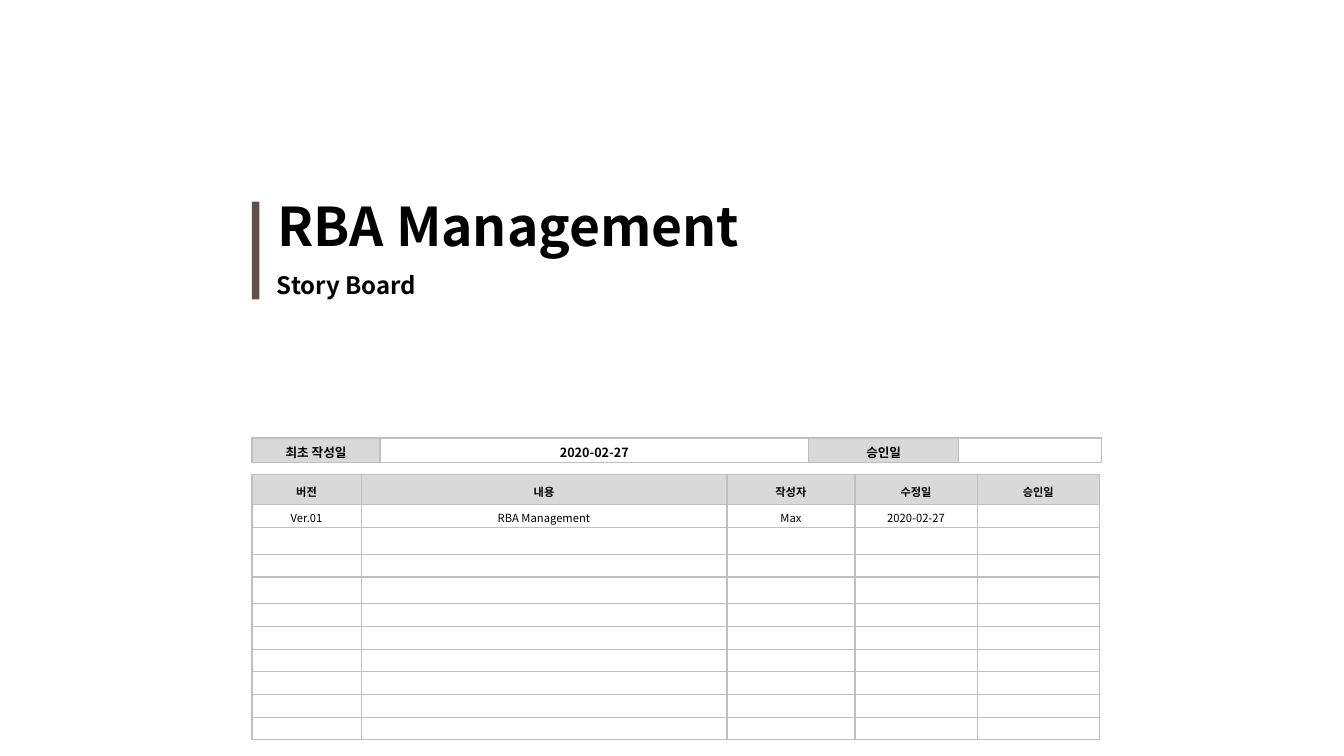
from pptx import Presentation, util as u
from pptx.dml.color import RGBColor
from pptx.enum import shapes, text
from pptx.oxml.ns import qn
from lxml import etree

BLACK = RGBColor(0x00, 0x00, 0x00)
WHITE = RGBColor(0xFF, 0xFF, 0xFF)
BROWN = RGBColor(0x60, 0x51, 0x4B)
HEADER_GRAY = RGBColor(0xD9, 0xD9, 0xD9)
BORDER_GRAY = RGBColor(0xBF, 0xBF, 0xBF)


class CoverSlide:
    """Draws the cover on a grid of 32 columns by 18 rows."""

    font_name = "Noto Sans CJK KR"
    columns, rows = 32, 18

    def __init__(self, presentation):
        self.column = presentation.slide_width / self.columns
        self.row = presentation.slide_height / self.rows
        self.slide = presentation.slides.add_slide(presentation.slide_layouts[5])

    def box(self, left, top, width, height):
        return (round(left * self.column), round(top * self.row),
                round(width * self.column), round(height * self.row))

    def add_words(self, paragraph, words, size, bold):
        run = paragraph.add_run()
        run.text = words
        run.font.name = self.font_name
        run.font.size = u.Pt(size)
        run.font.bold = bold
        run.font.color.rgb = BLACK
        properties = run._r.get_or_add_rPr()
        etree.SubElement(properties, qn("a:ea"), typeface=self.font_name)

    def heading(self, shape, words, size):
        frame = shape.text_frame
        frame.word_wrap = True
        frame.auto_size = text.MSO_AUTO_SIZE.NONE
        frame.vertical_anchor = text.MSO_ANCHOR.MIDDLE
        frame.margin_top = frame.margin_bottom = 0
        paragraph = frame.paragraphs[0]
        paragraph.alignment = text.PP_ALIGN.LEFT
        self.add_words(paragraph, words, size, True)

    def title(self, words, size, *place):
        shape = self.slide.shapes.title
        shape.left, shape.top, shape.width, shape.height = self.box(*place)
        self.heading(shape, words, size)

    def subtitle(self, words, size, *place):
        self.heading(self.slide.shapes.add_textbox(*self.box(*place)), words, size)

    def bar(self, color, *place):
        shape = self.slide.shapes.add_shape(shapes.MSO_SHAPE.RECTANGLE, *self.box(*place))
        shape.shadow.inherit = False
        shape.fill.solid()
        shape.fill.fore_color.rgb = color
        shape.line.fill.background()

    def borders(self, cell):
        properties = cell._tc.get_or_add_tcPr()
        for index, side in enumerate(("a:lnL", "a:lnR", "a:lnT", "a:lnB")):
            line = etree.Element(qn(side), w=str(u.Pt(1)))
            fill = etree.SubElement(line, qn("a:solidFill"))
            etree.SubElement(fill, qn("a:srgbClr"), val=str(BORDER_GRAY))
            properties.insert(index, line)

    def cell(self, cell, words, size, bold, color):
        cell.fill.solid()
        cell.fill.fore_color.rgb = color
        self.borders(cell)
        cell.vertical_anchor = text.MSO_ANCHOR.MIDDLE
        cell.margin_top, cell.margin_bottom = u.Inches(0.03), 0
        paragraph = cell.text_frame.paragraphs[0]
        paragraph.alignment = text.PP_ALIGN.CENTER
        if words:
            self.add_words(paragraph, words, size, bold)
        else:
            etree.SubElement(paragraph._p, qn("a:endParaRPr"), sz=str(size * 100))

    def table(self, left, top, widths, heights, lines, size, is_header):
        place = self.box(left, top, sum(widths), sum(heights))
        table = self.slide.shapes.add_table(len(heights), len(widths), *place).table
        table.first_row = table.horz_banding = False
        for column, width in zip(table.columns, widths):
            column.width = round(width * self.column)
        for r, height in enumerate(heights):
            table.rows[r].height = round(height * self.row)
            words = lines[r] if r < len(lines) else [""] * len(widths)
            for c, label in enumerate(words):
                color = HEADER_GRAY if is_header(r, c) else WHITE
                self.cell(table.cell(r, c), label, size, r == 0, color)


def main():
    presentation = Presentation()
    presentation.slide_width = u.Inches(13.33)
    presentation.slide_height = u.Inches(7.5)
    cover = CoverSlide(presentation)
    cover.subtitle("Story Board", 17.1, 6.36, 6.31, 19.46, 0.94)
    cover.bar(BROWN, 6, 4.8, 0.18, 2.33)
    cover.title("RBA Management", 38.1, 6.36, 4.46, 19.46, 1.78)
    history = [
        ["버전", "내용", "작성자", "수정일", "승인일"],
        ["Ver.01", "RBA Management", "Max", "2020-02-27", ""],
    ]
    heights = [0.72, 0.54, 0.64, 0.54, 0.64] + [0.54] * 6
    cover.table(6, 11.3, [2.6, 8.71, 3.05, 2.91, 2.91], heights, history, 8,
                lambda r, c: r == 0)
    dates = [["최초 작성일", "2020-02-27", "승인일", ""]]
    cover.table(6, 10.43, [3.05, 10.2, 3.58, 3.39], [0.59], dates, 9,
                lambda r, c: c % 2 == 0)
    presentation.save("out.pptx")


if __name__ == "__main__":
    main()
